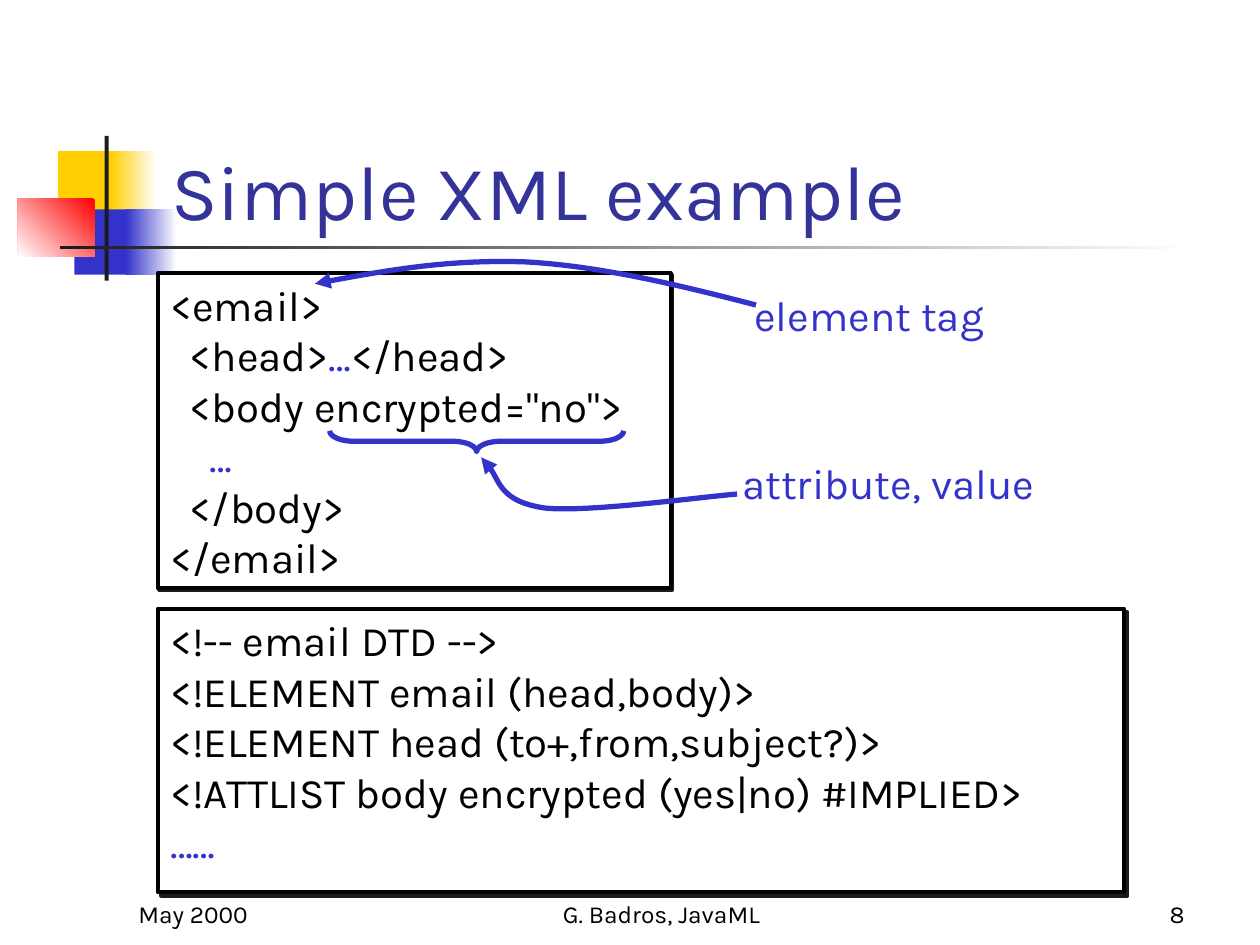
from itertools import groupby

from lxml import etree
from pptx import Presentation
from pptx.dml.color import RGBColor
from pptx.enum.shapes import MSO_SHAPE
from pptx.enum.text import MSO_ANCHOR, PP_ALIGN
from pptx.oxml.ns import qn
from pptx.util import Cm, Pt

RECT, BRACE = MSO_SHAPE.RECTANGLE, MSO_SHAPE.LEFT_BRACE
TOP, BOTTOM = MSO_ANCHOR.TOP, MSO_ANCHOR.BOTTOM
LEFT, CENTER, RIGHT = PP_ALIGN.LEFT, PP_ALIGN.CENTER, PP_ALIGN.RIGHT

FONT = "Karla"
BLACK = RGBColor(0x00, 0x00, 0x00)
WHITE = RGBColor(0xFF, 0xFF, 0xFF)
COAL = RGBColor(0x1C, 0x1C, 0x1C)
BLUE = RGBColor(0x33, 0x33, 0xCC)
NAVY = RGBColor(0x33, 0x33, 0x99)
GOLD = RGBColor(0xFF, 0xCF, 0x01)
RED = RGBColor(0xFF, 0x00, 0x00)

STEP = 0.4  # code indent per level, in cm

# left, top, width, height in cm, then colours and angle of the fill
DECOR = [
    (1.17, 3.05, 1.22, 1.32, [GOLD], 0),
    (2.24, 3.05, 0.91, 1.32, [WHITE, GOLD], 180),
    (1.5, 4.22, 1.17, 1.32, [BLUE], 0),
    (2.54, 4.22, 1.02, 1.32, [WHITE, BLUE], 180),
    (0.36, 4.01, 1.55, 1.17, [RED, WHITE], 225),
    (2.11, 2.74, 0.08, 2.92, [COAL], 0),
    (1.22, 4.95, 22.86, 0.08, [WHITE, COAL], 180),
]

# indent level and text of each line
DTD = [
    (0, "<!-- email DTD -->"),
    (0, "<!ELEMENT email (head,body)>"),
    (0, "<!ELEMENT head (to+,from,subject?)>"),
    (0, "<!ATTLIST body encrypted (yes|no) #IMPLIED>"),
    (0, "……"),
]
EMAIL = [
    (0, "<email>"),
    (1, "<head>…</head>"),
    (1, '<body encrypted="no">'),
    (2, "…"),
    (1, "</body>"),
    (0, "</email>"),
]

# start point, then three points for each Bézier segment, in cm
TAG_PATH = [(15.24, 6.15), (13.67, 5.74), (12.07, 5.36), (10.59, 5.28),
            (9.09, 5.23), (7.72, 5.46), (6.35, 5.72)]
VALUE_PATH = [(14.86, 9.96), (14.2, 10.01), (11.81, 10.34), (10.97, 10.24),
              (10.11, 10.11), (9.98, 9.45), (9.7, 9.22)]


def style(run, size, color):
    run.font.name = FONT
    run.font.size = Pt(size)
    run.font.color.rgb = color


def add_rect(slide, box, colors, angle=0):
    """Add a borderless rectangle with a solid or two-colour fill."""
    shape = slide.shapes.add_shape(RECT, *map(Cm, box))
    shape.shadow.inherit = False
    shape.line.fill.background()
    if len(colors) == 1:
        shape.fill.solid()
        shape.fill.fore_color.rgb = colors[0]
    else:
        shape.fill.gradient()
        shape.fill.gradient_angle = angle
        for stop, color in zip(shape.fill.gradient_stops, colors):
            stop.color.rgb = color
    return shape


def add_text(slide, box, text, size, color, align=LEFT, anchor=BOTTOM, wrap=True):
    frame = slide.shapes.add_textbox(*map(Cm, box)).text_frame
    frame.word_wrap = wrap
    frame.vertical_anchor = anchor
    frame.text = text
    para = frame.paragraphs[0]
    para.alignment = align
    style(para.runs[0], size, color)


def add_shadow(shape, dist):
    """Cast a hard shadow to the lower right, dist in points."""
    effects = shape._element.spPr.find(qn("a:effectLst"))
    outer = etree.SubElement(effects, qn("a:outerShdw"), dist=str(Pt(dist)),
                             dir="2700000", algn="ctr", rotWithShape="0")
    etree.SubElement(outer, qn("a:srgbClr"), val=str(COAL))


def add_code(slide, box, lines, dist):
    """Add a framed listing whose ellipses are blue."""
    shape = add_rect(slide, box, [WHITE])
    shape.line.color.rgb = BLACK
    shape.line.width = Pt(2.25)
    add_shadow(shape, dist)
    frame = shape.text_frame
    frame.word_wrap = True
    frame.vertical_anchor = TOP
    for index, (level, text) in enumerate(lines):
        para = frame.add_paragraph() if index else frame.paragraphs[0]
        para.alignment = LEFT
        para._p.get_or_add_pPr().set("marL", str(Cm(level * STEP)))
        for dots, chars in groupby(text, lambda char: char == "…"):
            run = para.add_run()
            run.text = "".join(chars)
            style(run, 24, BLUE if dots else BLACK)


def draw_line(shape):
    shape.shadow.inherit = False
    shape.fill.background()
    shape.line.color.rgb = BLUE
    shape.line.width = Pt(3)


def add_curve(slide, points):
    """Add a Bézier curve with an arrowhead at its end."""
    start, *rest = [(Cm(x), Cm(y)) for x, y in points]
    build = slide.shapes.build_freeform(*start)
    build.add_line_segments(rest, close=False)
    shape = build.convert_to_shape()
    draw_line(shape)
    route = shape._element.spPr.find(".//" + qn("a:path"))
    steps = route.findall(qn("a:lnTo"))
    for index in range(0, len(steps), 3):
        curve = etree.SubElement(route, qn("a:cubicBezTo"))
        for step in steps[index:index + 3]:
            curve.append(step[0])
            route.remove(step)
    etree.SubElement(shape.line._get_or_add_ln(), qn("a:tailEnd"), type="triangle")


def add_brace(slide, box):
    """Add a brace that points down."""
    shape = slide.shapes.add_shape(BRACE, *map(Cm, box))
    shape.rotation = 270
    shape.adjustments[0] = 1.17
    draw_line(shape)


def main():
    deck = Presentation()
    deck.slide_width, deck.slide_height = Cm(25.4), Cm(19.05)
    slide = deck.slides.add_slide(deck.slide_layouts[6])

    for *box, colors, angle in DECOR:
        add_rect(slide, box, colors, angle)
    add_text(slide, (3.2, 1.7, 21.64, 3.18), "Simple XML example", 44, NAVY)

    add_code(slide, (3.18, 12.27, 19.48, 5.72), DTD, 2.8)
    add_code(slide, (3.18, 5.51, 10.34, 6.35), EMAIL, 1.4)

    add_text(slide, (14.88, 5.72, 5.28, 1.27), "element tag", 24, BLUE,
             CENTER, TOP, wrap=False)
    add_text(slide, (14.63, 9.09, 6.55, 1.27), "attribute, value", 24, BLUE,
             CENTER, TOP, wrap=False)
    add_curve(slide, TAG_PATH)
    add_curve(slide, VALUE_PATH)
    add_brace(slide, (9.4, 5.93, 0.42, 5.93))

    for left, width, text, align in [
        (9.31, 8.05, "G. Badros, JavaML", CENTER),
        (18.84, 5.29, "8", RIGHT),
        (2.54, 5.29, "May 2000", LEFT),
    ]:
        add_text(slide, (left, 17.57, width, 1.27), text, 14, BLACK, align)

    deck.save("out.pptx")


if __name__ == "__main__":
    main()
